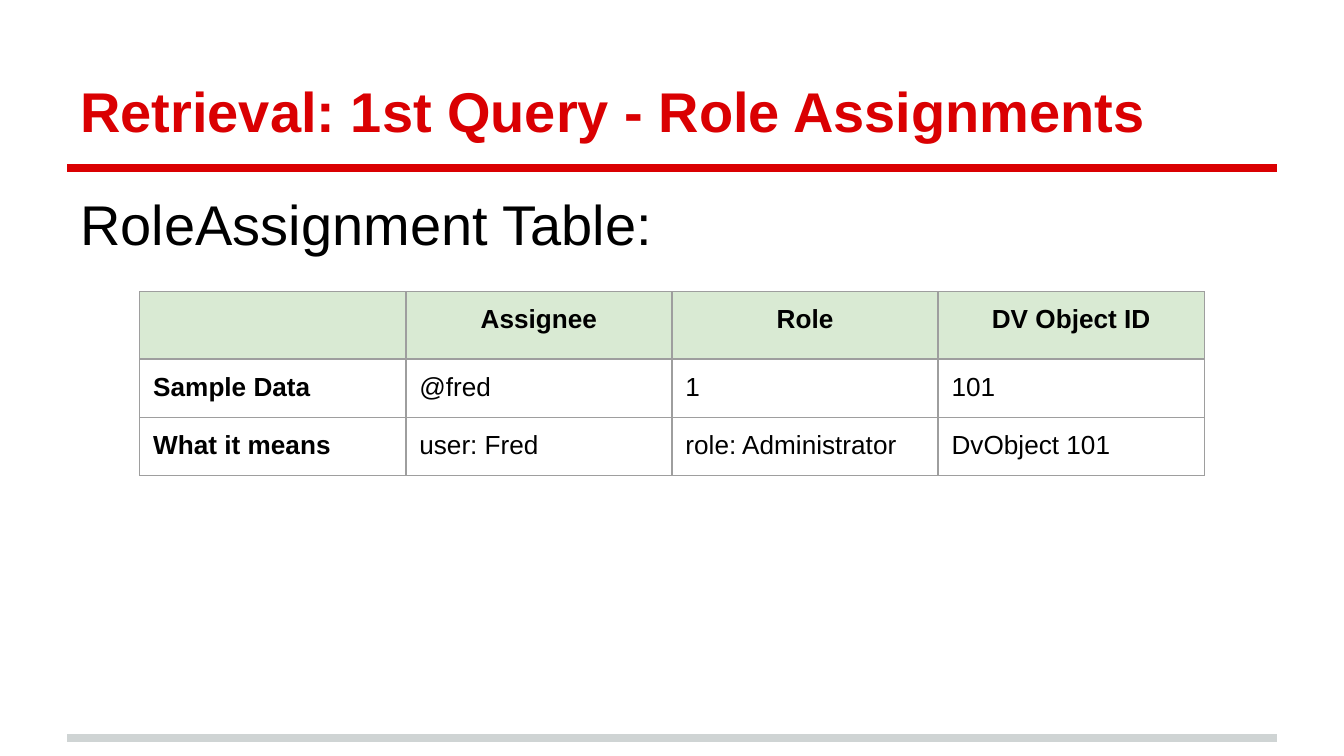
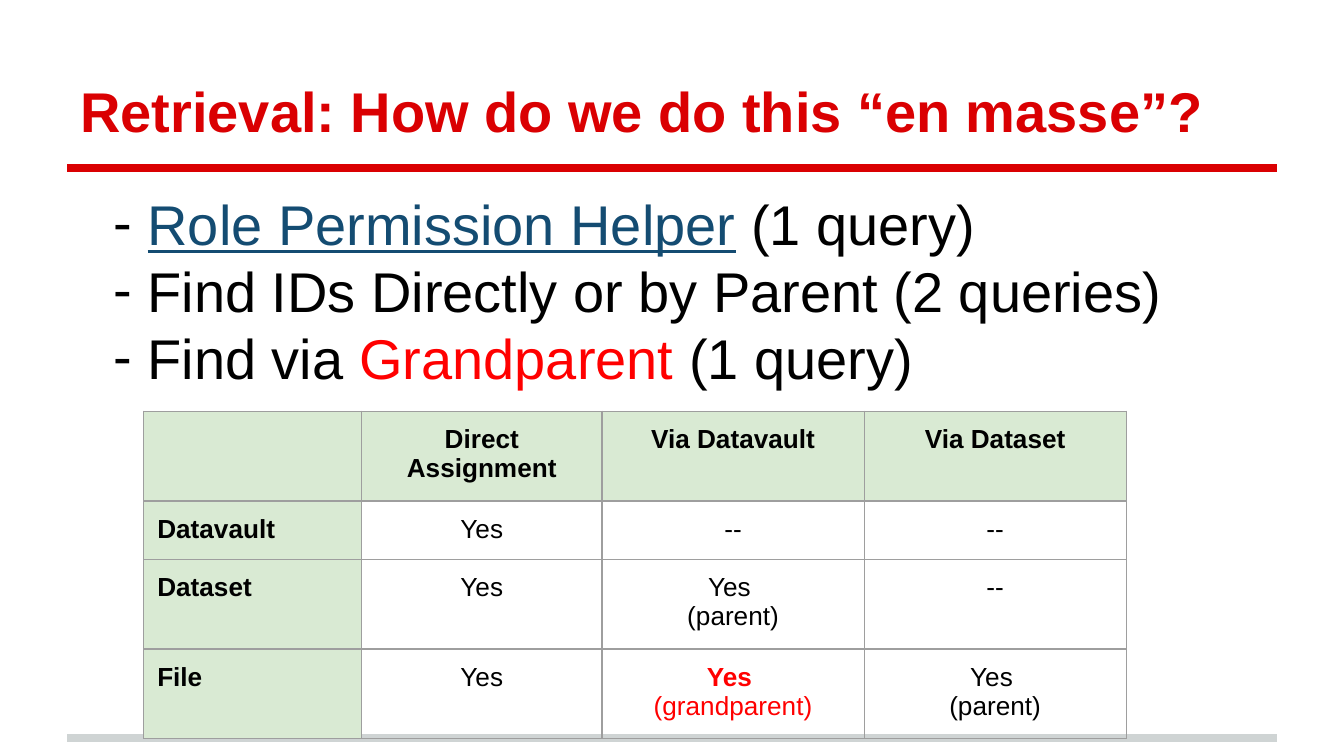
"""Build two slides on retrieving role assignments and permissions."""
from dataclasses import dataclass

from lxml.etree import SubElement
from pptx import Presentation
from pptx.dml.color import RGBColor
from pptx.enum.shapes import MSO_CONNECTOR
from pptx.enum.text import MSO_ANCHOR, PP_ALIGN
from pptx.oxml.ns import qn
from pptx.util import Inches, Pt


@dataclass(frozen=True)
class Theme:
    font: str = "Arial"
    title: str = "DA0002"
    footer: str = "CFD4D4"
    text: str = "000000"
    link: str = "144C72"
    alert: str = "FF0000"
    header_fill: str = "D9EAD3"
    border: str = "9E9E9E"
    heading_size: int = 30
    cell_size: int = 14
    rule_width: float = 4
    border_width: float = 0.75


THEME = Theme()
MARGIN, CONTENT_WIDTH = 0.5, 9
TITLE_RULE_Y, FOOTER_RULE_Y = 1.25, 5.49

SLIDES = [
    {
        "title": "Retrieval: 1st Query - Role Assignments",
        "body": [[("RoleAssignment Table:", "text")]],
        "bullets": False,
        "table": {
            "at": (1.04, 2.17),
            "columns": (1.98, 1.98, 1.98, 1.98),
            "row_heights": (0.42, 0.42, 0.42),
            "rows": [
                ("", "Assignee", "Role", "DV Object ID"),
                ("Sample Data", "@fred", "1", "101"),
                ("What it means", "user: Fred", "role: Administrator", "DvObject 101"),
            ],
            "shade_labels": False,
            "data_align": PP_ALIGN.LEFT,
            "alert_cells": (),
        },
    },
    {
        "title": "Retrieval: How do we do this “en masse”?",
        "body": [
            [("Role Permission Helper", "link"), (" (1 query)", "text")],
            [("Find IDs Directly or by Parent (2 queries)", "text")],
            [("Find via ", "text"), ("Grandparent ", "alert"), ("(1 query)", "text")],
        ],
        "bullets": True,
        "table": {
            "at": (1.07, 3.06),
            "columns": (1.62, 1.79, 1.95, 1.95),
            "row_heights": (0.43, 0.42, 0.42, 0.42),
            "rows": [
                ("", "Direct Assignment", "Via Datavault", "Via Dataset"),
                ("Datavault", "Yes", "--", "--"),
                ("Dataset", "Yes", "Yes \n(parent)", "--"),
                ("File", "Yes", "Yes \n(grandparent)", "Yes \n(parent)"),
            ],
            "shade_labels": True,
            "data_align": PP_ALIGN.CENTER,
            "alert_cells": ((3, 2),),
        },
    },
]


def rgb(color):
    return RGBColor.from_string(color)


def style_run(run, size, color, bold=False, underline=False):
    run.font.name = THEME.font
    run.font.size = Pt(size)
    run.font.color.rgb = rgb(color)
    run.font.bold = bold
    run.font.underline = underline


def add_rule(slide, y, color):
    rule = slide.shapes.add_connector(
        MSO_CONNECTOR.STRAIGHT, Inches(MARGIN), Inches(y),
        Inches(MARGIN + CONTENT_WIDTH), Inches(y))
    rule.line.color.rgb = rgb(color)
    rule.line.width = Pt(THEME.rule_width)
    SubElement(rule._element.spPr, qn("a:effectLst"))


def add_text_frame(slide, top, height, anchor):
    box = slide.shapes.add_textbox(
        Inches(MARGIN), Inches(top), Inches(CONTENT_WIDTH), Inches(height))
    frame = box.text_frame
    frame.word_wrap = True
    frame.vertical_anchor = anchor
    frame.margin_left = frame.margin_right = Inches(0.1)
    frame.margin_top = frame.margin_bottom = Inches(0.1)
    return frame


def add_title(slide, title):
    frame = add_text_frame(slide, 0.23, 0.94, MSO_ANCHOR.BOTTOM)
    frame.text = title
    style_run(frame.paragraphs[0].runs[0], THEME.heading_size, THEME.title, bold=True)


def add_bullet(paragraph):
    properties = paragraph._p.get_or_add_pPr()
    properties.set("marL", str(Inches(0.5)))
    properties.set("indent", str(Inches(-0.25)))
    bullet_color = SubElement(properties, qn("a:buClr"))
    SubElement(bullet_color, qn("a:srgbClr"), val=THEME.text)
    SubElement(properties, qn("a:buFont"), typeface=THEME.font)
    SubElement(properties, qn("a:buChar"), char="-")


def add_body(slide, lines, bullets):
    frame = add_text_frame(slide, 1.31, 4.07, MSO_ANCHOR.TOP)
    for index, line in enumerate(lines):
        paragraph = frame.add_paragraph() if index else frame.paragraphs[0]
        if bullets:
            add_bullet(paragraph)
        for text, role in line:
            run = paragraph.add_run()
            run.text = text
            style_run(run, THEME.heading_size, getattr(THEME, role),
                      underline=role == "link")


def add_borders(cell):
    properties = cell._tc.get_or_add_tcPr()
    for side in ("lnL", "lnR", "lnT", "lnB"):
        border = SubElement(properties, qn(f"a:{side}"), w=str(Pt(THEME.border_width)))
        fill = SubElement(border, qn("a:solidFill"))
        SubElement(fill, qn("a:srgbClr"), val=THEME.border)


def fill_cell(cell, text, shaded, align, bold, alert):
    cell.margin_left = cell.margin_right = Inches(0.1)
    cell.margin_top = cell.margin_bottom = Inches(0.1)
    add_borders(cell)
    if shaded:
        cell.fill.solid()
        cell.fill.fore_color.rgb = rgb(THEME.header_fill)
    else:
        cell.fill.background()
    cell.text_frame.text = text
    for index, paragraph in enumerate(cell.text_frame.paragraphs):
        paragraph.alignment = align
        for run in paragraph.runs:
            style_run(run, THEME.cell_size, THEME.alert if alert else THEME.text,
                      bold=bold or (alert and index == 0))


def add_role_table(slide, content):
    columns, heights = content["columns"], content["row_heights"]
    left, top = content["at"]
    table = slide.shapes.add_table(
        len(heights), len(columns), Inches(left), Inches(top),
        Inches(sum(columns)), Inches(sum(heights))).table
    table.first_row = table.horz_banding = False
    for column, width in zip(table.columns, columns):
        column.width = Inches(width)
    for row, height in zip(table.rows, heights):
        row.height = Inches(height)
    for r, texts in enumerate(content["rows"]):
        for c, text in enumerate(texts):
            header, label = r == 0, c == 0
            if header:
                align = PP_ALIGN.CENTER
            else:
                align = PP_ALIGN.LEFT if label else content["data_align"]
            fill_cell(table.cell(r, c), text,
                      shaded=header or (label and content["shade_labels"]),
                      align=align, bold=header or label,
                      alert=(r, c) in content["alert_cells"])


def main():
    deck = Presentation()
    deck.slide_width = Inches(10)
    deck.slide_height = deck.slide_width * 9 // 16
    for content in SLIDES:
        slide = deck.slides.add_slide(deck.slide_layouts[6])
        add_rule(slide, FOOTER_RULE_Y, THEME.footer)
        add_rule(slide, TITLE_RULE_Y, THEME.title)
        add_title(slide, content["title"])
        add_body(slide, content["body"], content["bullets"])
        add_role_table(slide, content["table"])
    deck.save("out.pptx")


if __name__ == "__main__":
    main()
